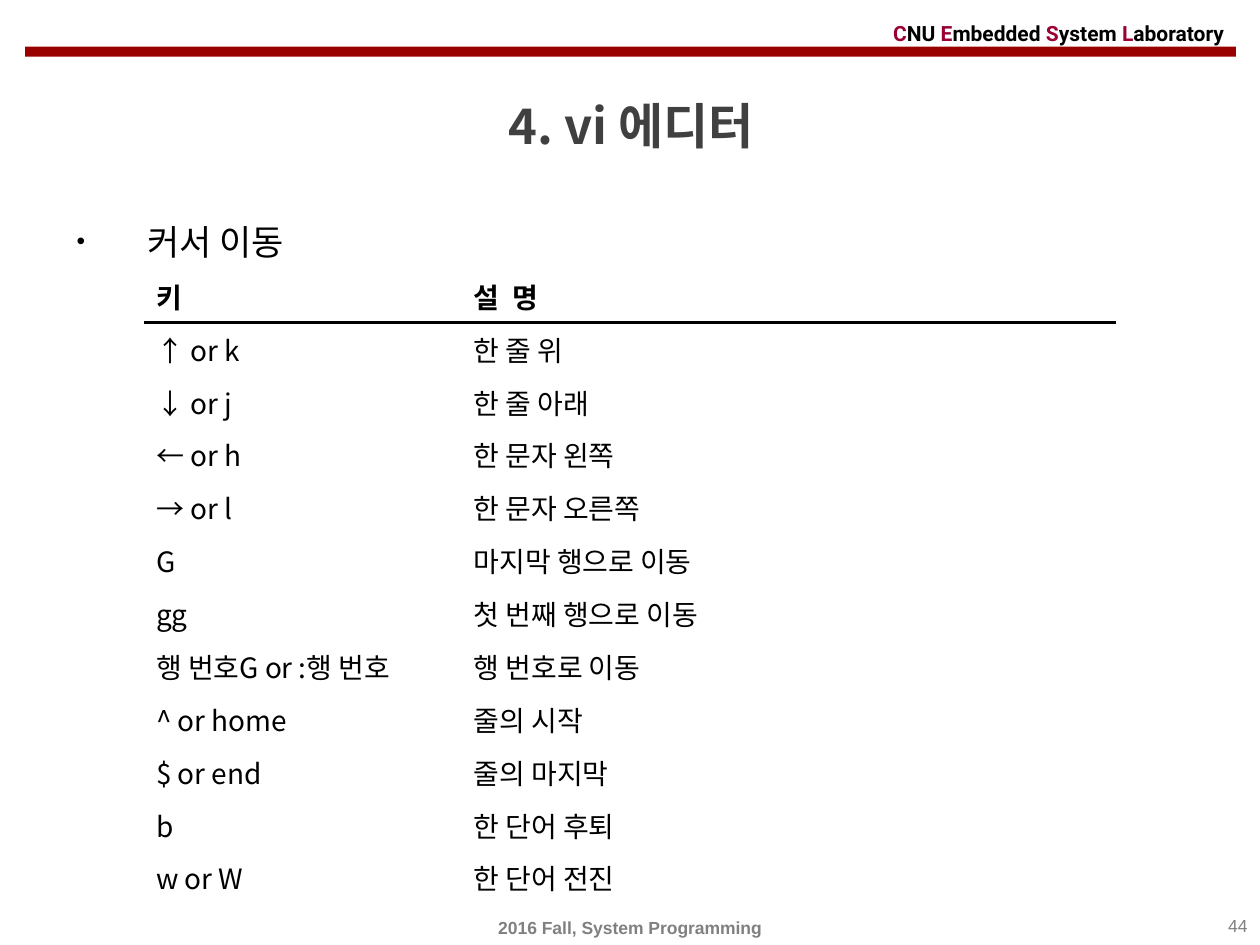
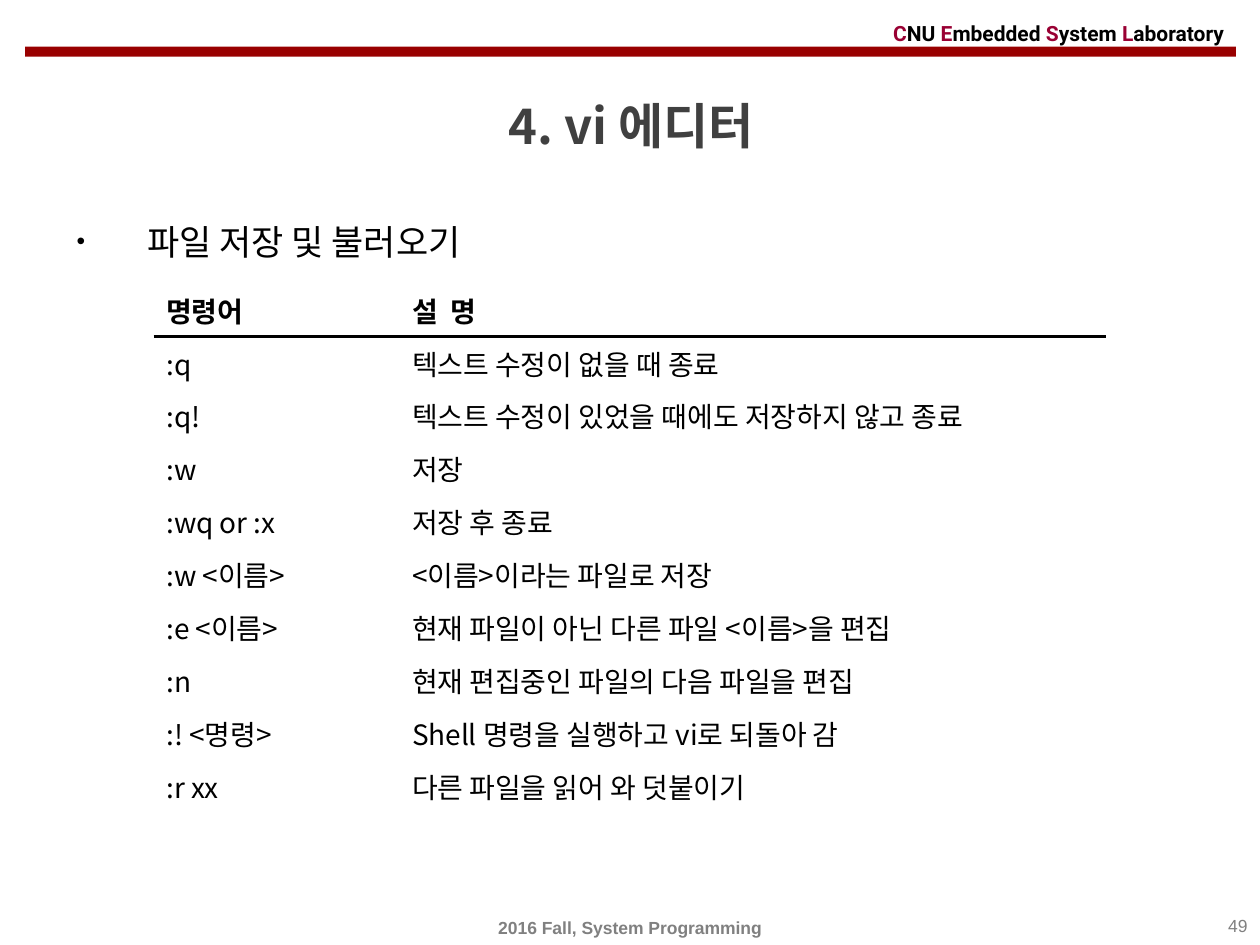
import dataclasses
import lxml.etree
import pptx
import pptx.dml.color
import pptx.enum.shapes
import pptx.enum.text
import pptx.oxml
import pptx.oxml.ns
import pptx.util

Inches = pptx.util.Inches
Pt = pptx.util.Pt
Align = pptx.enum.text.PP_ALIGN
Anchor = pptx.enum.text.MSO_ANCHOR
qn = pptx.oxml.ns.qn


@dataclasses.dataclass(frozen=True)
class Theme:
    band: str = "990000"
    mark: str = "990033"
    ink: str = "000000"
    title: str = "404040"
    foot: str = "808080"
    sans: str = "Noto Sans CJK KR"
    head: str = "Roboto"
    small: str = "Arial"
    title_pt: int = 28
    topic_pt: int = 20
    cell_pt: int = 16
    lab_pt: int = 12
    foot_pt: int = 10
    rule_pt: float = 1.5


THEME = Theme()
PLAIN = "{2D5ABB26-0587-4C30-8999-92F81FD0307C}"
TITLE = "4. vi 에디터"
FOOTER = "2016 Fall, System Programming"
LAB = ("CNU", "Embedded", "System", "Laboratory")
ROW = 0.42

CURSOR = [
    ("키", "설  명"),
    ("↑ or k", "한 줄 위"),
    ("↓ or j", "한 줄 아래"),
    ("← or h", "한 문자 왼쪽"),
    ("→ or l", "한 문자 오른쪽"),
    ("G", "마지막 행으로 이동"),
    ("gg", "첫 번째 행으로 이동"),
    ("행 번호G or :행 번호", "행 번호로 이동"),
    ("^ or home", "줄의 시작"),
    ("$ or end", "줄의 마지막"),
    ("b", "한 단어 후퇴"),
    ("w or W", "한 단어 전진"),
]
FILES = [
    ("명령어", "설  명"),
    (":q", "텍스트 수정이 없을 때 종료"),
    (":q!", "텍스트 수정이 있었을 때에도 저장하지 않고 종료"),
    (":w", "저장"),
    (":wq or :x", "저장 후 종료"),
    (":w <이름>", "<이름>이라는 파일로 저장"),
    (":e <이름>", "현재 파일이 아닌 다른 파일 <이름>을 편집"),
    (":n", "현재 편집중인 파일의 다음 파일을 편집"),
    (":! <명령>", "Shell 명령을 실행하고 vi로 되돌아 감"),
    (":r xx", "다른 파일을 읽어 와 덧붙이기"),
]


def rgb(code):
    return pptx.dml.color.RGBColor.from_string(code)


def style(run, face, size, color, bold=False, kern=True):
    font = run.font
    font.name, font.size, font.bold = face, Pt(size), bold
    font.color.rgb = rgb(color)
    props = run._r.get_or_add_rPr()
    east = lxml.etree.Element(qn("a:ea"), typeface=THEME.sans)
    props.find(qn("a:latin")).addnext(east)
    if not kern:
        props.set("kern", "0")


def add_text(slide, box, text, look, align=Align.LEFT, anchor=Anchor.TOP):
    frame = slide.shapes.add_textbox(*map(Inches, box)).text_frame
    frame.word_wrap = True
    frame.vertical_anchor = anchor
    frame.text = text
    para = frame.paragraphs[0]
    para.alignment = align
    for run in para.runs:
        style(run, *look)
    return para


def add_band(slide, box):
    left, top, width, height = box
    bar = slide.shapes.add_shape(
        pptx.enum.shapes.MSO_SHAPE.RECTANGLE,
        Inches(left), Inches(top + 0.25), Inches(width), Inches(height - 0.25))
    bar.shadow.inherit = False
    bar.fill.solid()
    bar.fill.fore_color.rgb = rgb(THEME.band)
    bar.line.fill.background()
    para = add_text(slide, (left + 6.79, top, 3.03, 0.28), "", (),
                    anchor=Anchor.MIDDLE)
    for word in LAB:
        gap = "" if word == LAB[-1] else " "
        for part, color in ((word[0], THEME.mark), (word[1:] + gap, THEME.ink)):
            run = para.add_run()
            run.text = part
            style(run, THEME.head, THEME.lab_pt, color, True)


def add_foot(slide, box, page):
    left, top, width, height = box
    add_text(slide, box, FOOTER, (THEME.small, THEME.foot_pt, THEME.foot, True),
             Align.CENTER, Anchor.MIDDLE)
    add_text(slide, (left + width - 2.33, top - 0.01, 2.33, height), str(page),
             (THEME.small, THEME.foot_pt, THEME.foot), Align.RIGHT)


def add_topic(slide, box, text):
    look = (THEME.head, THEME.topic_pt, THEME.ink, False, False)
    para = add_text(slide, box, text, look)
    props = para._p.get_or_add_pPr()
    props.set("marL", str(Inches(0.56)))
    props.set("indent", str(-Inches(0.56)))
    lxml.etree.SubElement(props, qn("a:buSzPct"), val="70000")
    lxml.etree.SubElement(props, qn("a:buFont"), typeface=THEME.small)
    lxml.etree.SubElement(props, qn("a:buChar"), char="•")


def add_rule(cell):
    line = lxml.etree.Element(qn("a:lnB"), w=str(Pt(THEME.rule_pt)))
    fill = lxml.etree.SubElement(line, qn("a:solidFill"))
    lxml.etree.SubElement(fill, qn("a:srgbClr"), val=THEME.ink)
    cell._tc.get_or_add_tcPr().insert(0, line)


def add_keys(slide, box, rows, first):
    table = slide.shapes.add_table(len(rows), 2, *map(Inches, box)).table
    table.horz_banding = False
    table._tbl.tblPr.find(qn("a:tableStyleId")).text = PLAIN
    for col, width in zip(table.columns, (first, box[2] - first)):
        col.width = Inches(width)
    for i, row in enumerate(rows):
        for j, text in enumerate(row):
            cell = table.cell(i, j)
            cell.fill.background()
            cell.text_frame.text = text
            run = cell.text_frame.paragraphs[0].runs[0]
            style(run, THEME.sans, THEME.cell_pt, THEME.ink, i == 0, False)
            if i == 0:
                add_rule(cell)


def add_page(deck, topic, page, place, first, rows):
    slide = deck.slides.add_slide(deck.slide_layouts[6])
    add_band(slide, (0.2, 0.12, 9.61, 0.33))
    add_text(slide, (0.21, 0.6, 9.6, 0.79), TITLE,
             (THEME.sans, THEME.title_pt, THEME.title, True),
             Align.CENTER, Anchor.MIDDLE)
    add_topic(slide, (0.51, 1.7, 9.06, 5.28), topic)
    left, top, width = place
    add_keys(slide, (left, top, width, ROW * len(rows)), rows, first)
    add_foot(slide, (0, 7.22, 10, 0.28), page)


def main():
    deck = pptx.Presentation()
    deck.slide_width, deck.slide_height = Inches(10), Inches(7.5)
    add_page(deck, "커서 이동", 44, (1.14, 2.14, 7.72), 2.52, CURSOR)
    add_page(deck, "파일 저장 및 불러오기", 49, (1.22, 2.25, 7.56), 1.95, FILES)
    deck.save("out.pptx")


if __name__ == "__main__":
    main()
